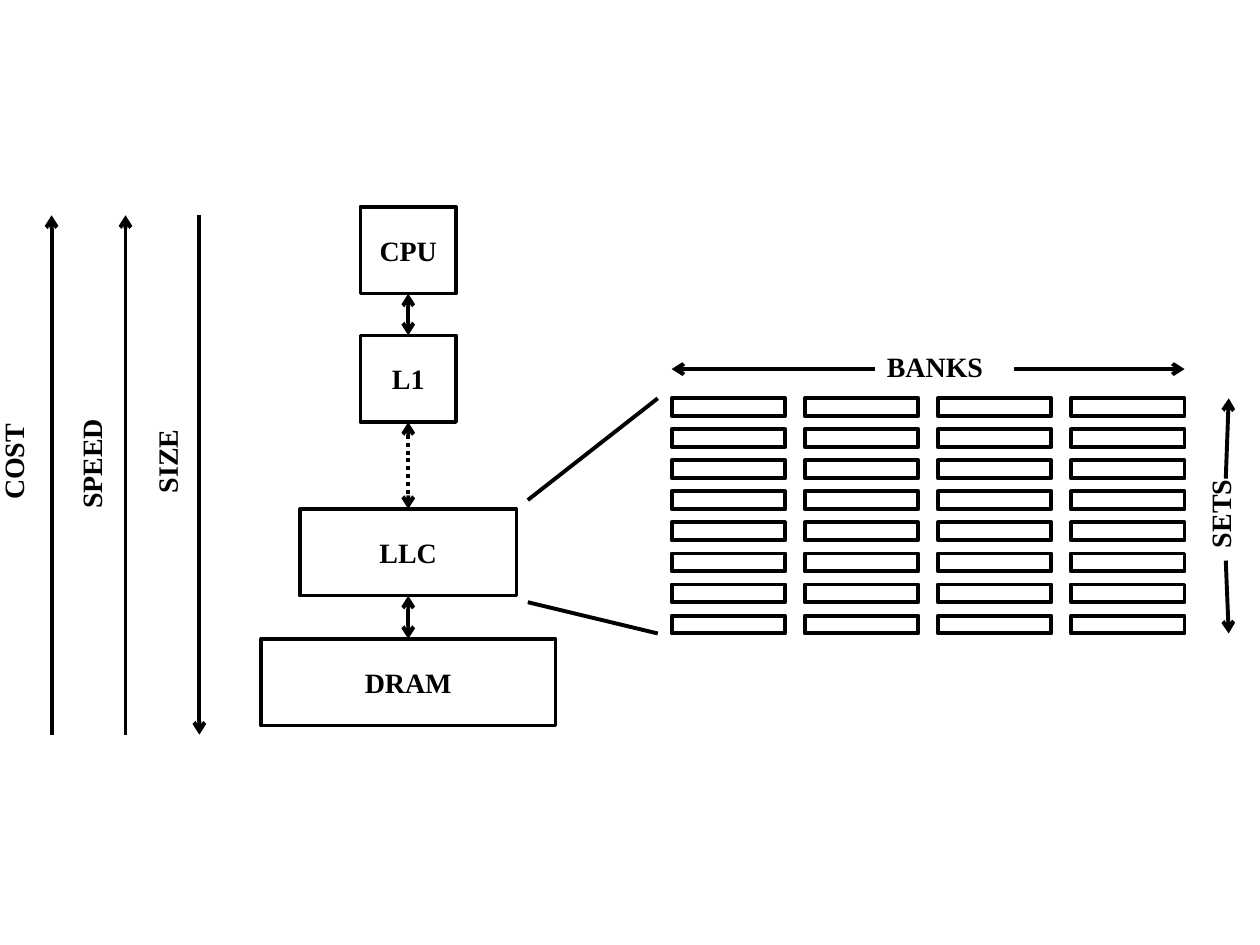
"""Build a slide showing a memory hierarchy and the banks and sets of its last-level cache."""
from itertools import pairwise, product

from lxml import etree
from pptx import Presentation
from pptx.dml.color import RGBColor
from pptx.enum.dml import MSO_LINE
from pptx.enum.shapes import MSO_CONNECTOR, MSO_SHAPE
from pptx.enum.text import MSO_ANCHOR, MSO_AUTO_SIZE, PP_ALIGN
from pptx.oxml.ns import qn
from pptx.util import Cm, Pt

RECTANGLE = MSO_SHAPE.RECTANGLE
STRAIGHT = MSO_CONNECTOR.STRAIGHT
DOTTED = MSO_LINE.ROUND_DOT
MIDDLE = MSO_ANCHOR.MIDDLE
CENTER = PP_ALIGN.CENTER
GROW = MSO_AUTO_SIZE.SHAPE_TO_FIT_TEXT
FONT, BLACK, WHITE = "Times New Roman", "000000", "FFFFFF"

LEVELS = [("CPU", 4.17, 1.93), ("L1", 6.76, 1.93), ("LLC", 10.26, 4.37), ("DRAM", 12.88, 5.94)]
LEVEL_CENTER, LEVEL_HEIGHT = 8.23, 1.75
DOTTED_LINK = ("L1", "LLC")

TRENDS = [("COST", "up", -0.2, 8.53, 1.8), ("SPEED", "up", 1.37, 8.43, 2.08), ("SIZE", "down", 2.9, 8.64, 1.55)]
TREND_LEFT, TREND_STEP, TREND_TOP, TREND_BOTTOM = 1.04, 1.49, 4.34, 14.81
LABEL_THICKNESS = 1.19

BANKS, SETS = 4, 8
GRID_LEFT, GRID_TOP, GRID_RIGHT, GRID_BOTTOM = 13.54, 8.03, 23.88, 12.77
CELL_WIDTH, CELL_HEIGHT = 2.29, 0.36
ZOOM_LINES = [((10.64, 10.08), (13.26, GRID_TOP)), ((10.64, 12.14), (13.26, GRID_BOTTOM))]
GRID_ARROWS = [
    ((20.45, 7.44), (GRID_RIGHT, 7.44)),
    ((17.63, 7.44), (GRID_LEFT, 7.44)),
    ((24.71, 9.65), (24.77, GRID_TOP)),
    ((24.71, 11.3), (24.77, GRID_BOTTOM)),
]


def color(value):
    return RGBColor.from_string(value)


def write(shape, text):
    para = shape.text_frame.paragraphs[0]
    span = para.add_run()
    span.text = text
    span.font.name, span.font.size, span.font.bold = FONT, Pt(16), True
    span.font.color.rgb = color(BLACK)
    return para


def add_box(left, top, width, height, weight, text=None):
    box = page.shapes.add_shape(RECTANGLE, Cm(left), Cm(top), Cm(width), Cm(height))
    box.shadow.inherit = False
    box.fill.solid()
    box.fill.fore_color.rgb = color(WHITE)
    box.line.color.rgb = color(BLACK)
    box.line.width = Pt(weight)
    if text:
        box.text_frame.vertical_anchor = MIDDLE
        write(box, text).alignment = CENTER


def add_label(text, left, top, width, height, vertical=False):
    label = page.shapes.add_textbox(Cm(left), Cm(top), Cm(width), Cm(height))
    label.text_frame.word_wrap = False
    label.text_frame.auto_size = GROW
    if vertical:
        label.text_frame._txBody.bodyPr.set("vert", "vert270")
    write(label, text)


def add_line(start, end, arrows=(), dash=None):
    line = page.shapes.add_connector(STRAIGHT, *(Cm(value) for value in (*start, *end)))
    line.line.color.rgb = color(BLACK)
    line.line.width = Pt(2.25)
    if dash:
        line.line.dash_style = dash
    properties = line._element.spPr
    for arrow in arrows:
        etree.SubElement(properties.find(qn("a:ln")), qn(f"a:{arrow}"), type="arrow")
    etree.SubElement(properties, qn("a:effectLst"))


deck = Presentation()
deck.slide_width, deck.slide_height = Cm(25.4), Cm(19.05)
page = deck.slides.add_slide(deck.slide_layouts[6])

for name, top, width in LEVELS:
    add_box(LEVEL_CENTER - width / 2, top, width, LEVEL_HEIGHT, 2, name)
for (upper, upper_top, _), (lower, lower_top, _) in pairwise(LEVELS):
    dash = DOTTED if (upper, lower) == DOTTED_LINK else None
    add_line((LEVEL_CENTER, upper_top + LEVEL_HEIGHT), (LEVEL_CENTER, lower_top), ("headEnd", "tailEnd"), dash)

for index, (name, direction, left, top, height) in enumerate(TRENDS):
    x = TREND_LEFT + index * TREND_STEP
    ends = [(x, TREND_TOP), (x, TREND_BOTTOM)]
    start, end = ends if direction == "down" else reversed(ends)
    add_line(start, end, ("tailEnd",))
    add_label(name, left, top, LABEL_THICKNESS, height, vertical=True)

bank_step = (GRID_RIGHT - GRID_LEFT - CELL_WIDTH) / (BANKS - 1)
set_step = (GRID_BOTTOM - GRID_TOP - CELL_HEIGHT) / (SETS - 1)
for bank, row in product(range(BANKS), range(SETS)):
    add_box(GRID_LEFT + bank * bank_step, GRID_TOP + row * set_step, CELL_WIDTH, CELL_HEIGHT, 2.25)

for start, end in ZOOM_LINES:
    add_line(start, end)
add_label("SETS", 24.13, 9.65, LABEL_THICKNESS, 1.65, vertical=True)
add_label("BANKS", 17.63, 6.93, 2.46, 0.94)
for start, end in GRID_ARROWS:
    add_line(start, end, ("tailEnd",))

deck.save("out.pptx")
